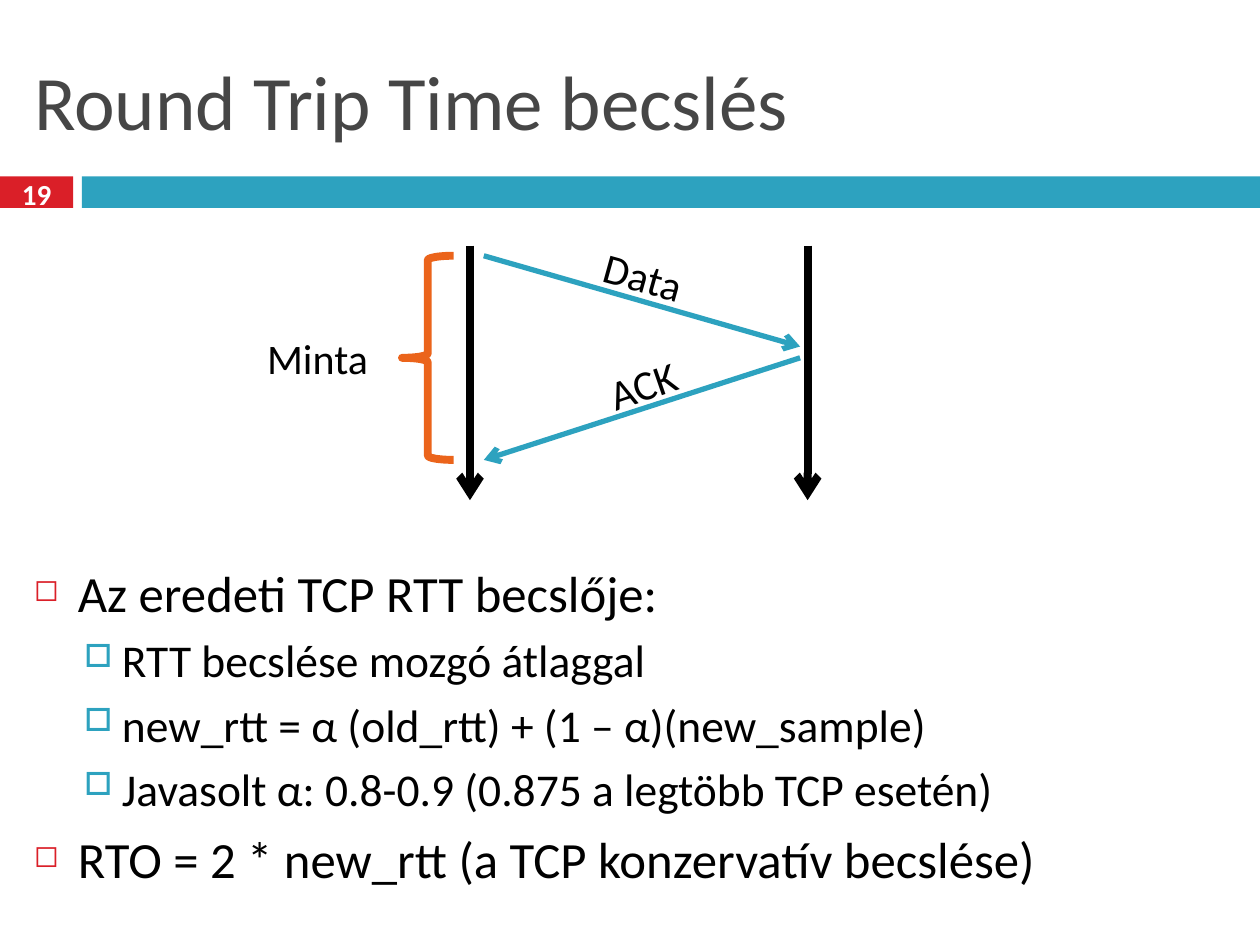
"""Build the slide on round trip time estimation."""
from dataclasses import dataclass

from lxml.etree import SubElement
from pptx import Presentation
from pptx.dml.color import RGBColor
from pptx.enum.shapes import MSO_CONNECTOR, MSO_SHAPE
from pptx.enum.text import MSO_ANCHOR, PP_ALIGN
from pptx.oxml.ns import qn
from pptx.util import Inches, Pt

COLORS = {
    "red": "DA1F28",
    "teal": "2DA2BF",
    "orange": "EB641B",
    "gray": "464646",
    "black": "000000",
    "white": "FFFFFF",
}
FONT = "Calibri"


@dataclass
class Arrow:
    start: tuple[float, float]
    end: tuple[float, float]
    color: str
    width: float


@dataclass
class Label:
    text: str
    area: tuple[float, float, float, float]
    rotation: float = 0
    size: float = 24
    color: str = "black"
    bold: bool = False
    anchor: MSO_ANCHOR = MSO_ANCHOR.TOP


@dataclass
class BulletStyle:
    size: float
    indent: float
    hanging: float
    space: float
    mark: str
    mark_color: str
    mark_percent: int


LEVELS = [
    BulletStyle(29, 0.35, 0.35, 7, "◻", "red", 60),
    BulletStyle(26, 0.7, 0.3, 5.5, "□", "teal", 70),
]
BARS = [((0, 1.4, 0.58, 0.25), "red"), ((0.65, 1.4, 9.35, 0.25), "teal")]
TIMELINES = [Arrow((x, 1.95), (x, 3.97), "black", 4.5) for x in (3.73, 6.41)]
MESSAGES = [
    Arrow((3.84, 2.03), (6.35, 2.75), "teal", 3),
    Arrow((6.35, 2.84), (3.84, 3.65), "teal", 3),
]
LABELS = [
    Label("19", (0, 1.37, 0.58, 0.33), 0, 16.6, "white", True, MSO_ANCHOR.MIDDLE),
    Label("Data", (4.01, 1.94, 2.19, 0.5), 15.6),
    Label("ACK", (4.52, 2.8, 1.16, 0.5), 341),
    Label("Minta", (1.78, 2.59, 1.48, 0.5)),
]
BULLETS = [
    (0, "Az eredeti TCP RTT becslője:"),
    (1, "RTT becslése mozgó átlaggal"),
    (1, "new_rtt = α (old_rtt) + (1 – α)(new_sample)"),
    (1, "Javasolt α: 0.8-0.9 (0.875 a legtöbb TCP esetén)"),
    (0, "RTO = 2 * new_rtt (a TCP konzervatív becslése)"),
]


def rgb(name: str) -> RGBColor:
    return RGBColor.from_string(COLORS[name])


def format_runs(para, size: float, color: str, bold: bool = False) -> None:
    for span in para.runs:
        span.font.name = FONT
        span.font.size = Pt(size)
        span.font.bold = bold
        span.font.color.rgb = rgb(color)


def add_title(page, text: str) -> None:
    title = page.shapes.title
    title.left, title.top = Inches(0.17), Inches(0.25)
    title.width, title.height = Inches(9.67), Inches(1.08)
    title.text_frame.text = text
    title.text_frame.vertical_anchor = MSO_ANCHOR.MIDDLE
    para = title.text_frame.paragraphs[0]
    para.alignment = PP_ALIGN.LEFT
    format_runs(para, 44, "gray")


def add_bar(page, area: tuple[float, float, float, float], color: str) -> None:
    bar = page.shapes.add_shape(MSO_SHAPE.RECTANGLE, *map(Inches, area))
    bar.shadow.inherit = False
    bar.fill.solid()
    bar.fill.fore_color.rgb = rgb(color)
    bar.line.fill.background()


def add_arrow(page, arrow: Arrow) -> None:
    connector = page.shapes.add_connector(
        MSO_CONNECTOR.STRAIGHT, *map(Inches, arrow.start + arrow.end)
    )
    connector.line.color.rgb = rgb(arrow.color)
    connector.line.width = Pt(arrow.width)
    SubElement(connector.line._get_or_add_ln(), qn("a:tailEnd"), type="arrow")
    SubElement(connector._element.spPr, qn("a:effectLst"))


def add_brace(page) -> None:
    brace = page.shapes.add_shape(
        MSO_SHAPE.LEFT_BRACE, *map(Inches, (3.19, 2.03, 0.41, 1.62))
    )
    brace.shadow.inherit = False
    brace.fill.background()
    brace.line.color.rgb = rgb("orange")
    brace.line.width = Pt(4.5)


def add_label(page, label: Label) -> None:
    box = page.shapes.add_textbox(*map(Inches, label.area))
    box.rotation = label.rotation
    frame = box.text_frame
    frame.word_wrap = True
    frame.vertical_anchor = label.anchor
    frame.text = label.text
    para = frame.paragraphs[0]
    para.alignment = PP_ALIGN.CENTER
    format_runs(para, label.size, label.color, label.bold)


def format_bullet(para, level: int) -> None:
    style = LEVELS[level]
    para.level = level
    para.space_before = Pt(style.space)
    format_runs(para, style.size, "black")
    properties = para._p.get_or_add_pPr()
    properties.set("marL", str(Inches(style.indent)))
    properties.set("indent", str(-Inches(style.hanging)))
    color = SubElement(properties, qn("a:buClr"))
    SubElement(color, qn("a:srgbClr"), val=COLORS[style.mark_color])
    SubElement(properties, qn("a:buSzPct"), val=str(style.mark_percent * 1000))
    SubElement(properties, qn("a:buChar"), char=style.mark)


def add_bullets(page) -> None:
    box = page.shapes.add_textbox(*map(Inches, (0.17, 4.41, 9.67, 2.93)))
    frame = box.text_frame
    frame.word_wrap = True
    frame.text = "\n".join(text for _, text in BULLETS)
    for para, (level, _) in zip(frame.paragraphs, BULLETS):
        format_bullet(para, level)


def main() -> None:
    deck = Presentation()
    deck.slide_width, deck.slide_height = Inches(10), Inches(7.5)
    page = deck.slides.add_slide(deck.slide_layouts[5])
    for area, color in BARS:
        add_bar(page, area, color)
    add_title(page, "Round Trip Time becslés")
    add_bullets(page)
    for arrow in TIMELINES + MESSAGES:
        add_arrow(page, arrow)
    add_brace(page)
    for label in LABELS:
        add_label(page, label)
    deck.save("out.pptx")


main()
